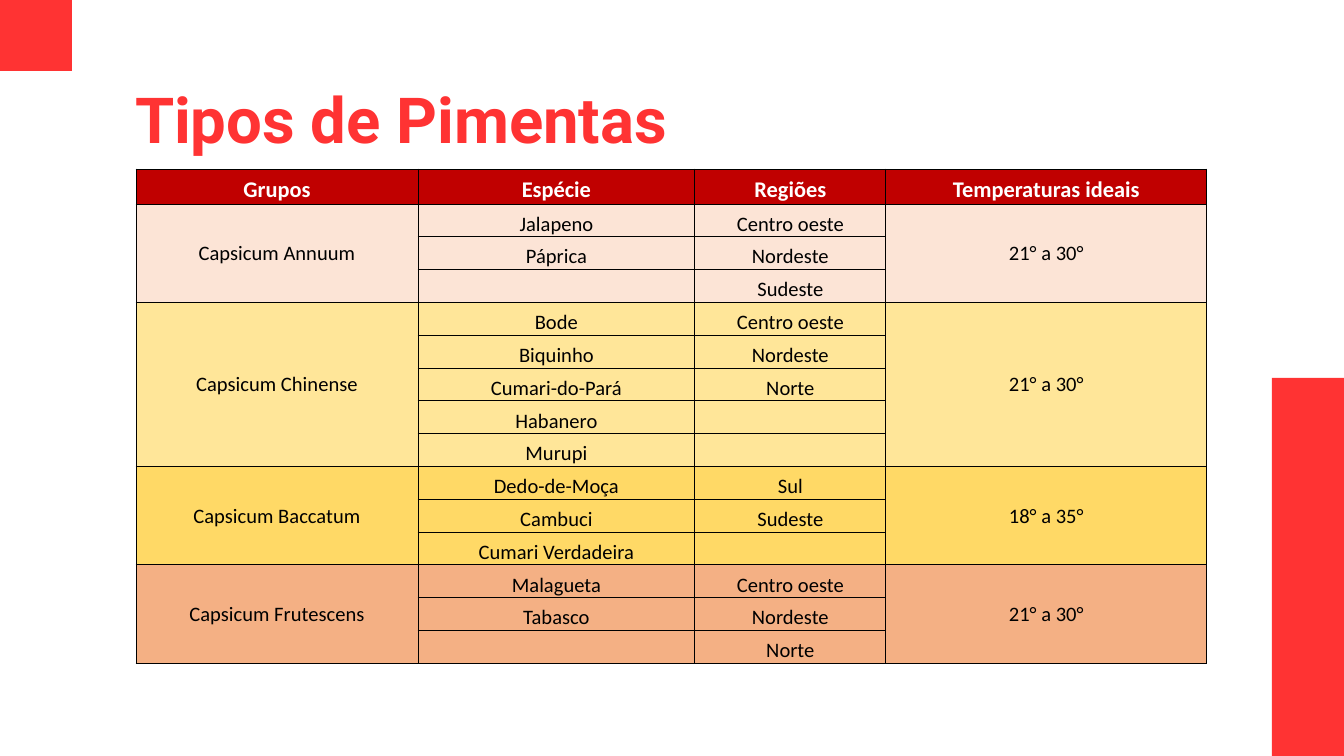
from lxml import etree
from pptx import Presentation
from pptx.dml.color import RGBColor
from pptx.enum.shapes import MSO_SHAPE
from pptx.enum.text import MSO_ANCHOR, PP_ALIGN
from pptx.oxml.ns import qn
from pptx.util import Pt

RECT = MSO_SHAPE.RECTANGLE
MIDDLE, BOTTOM = MSO_ANCHOR.MIDDLE, MSO_ANCHOR.BOTTOM
LEFT, CENTER = PP_ALIGN.LEFT, PP_ALIGN.CENTER
SCALE = 914400 / 134.4
COLORS = {
    "red": "FF3333", "head": "C00000", "white": "FFFFFF", "black": "000000",
    "pink": "FCE4D6", "cream": "FFE699", "gold": "FFD966", "orange": "F4B084",
}
HEADS = ["Grupos", "Espécie", "Regiões", "Temperaturas ideais"]
GROUPS = [
    ("Capsicum Annuum", "21° a 30°", "pink",
     [("Jalapeno", "Centro oeste"), ("Páprica", "Nordeste"), ("", "Sudeste")]),
    ("Capsicum Chinense", "21° a 30°", "cream",
     [("Bode", "Centro oeste"), ("Biquinho", "Nordeste"),
      ("Cumari-do-Pará", "Norte"), ("Habanero", ""), ("Murupi", "")]),
    ("Capsicum Baccatum", "18° a 35°", "gold",
     [("Dedo-de-Moça", "Sul"), ("Cambuci", "Sudeste"), ("Cumari Verdadeira", "")]),
    ("Capsicum Frutescens", "21° a 30°", "orange",
     [("Malagueta", "Centro oeste"), ("Tabasco", "Nordeste"), ("", "Norte")]),
]


def px(n):
    return round(n * SCALE)


def rgb(name):
    return RGBColor.from_string(COLORS[name])


class Deck:
    def __init__(self, wide, high):
        self.prs = Presentation()
        self.prs.slide_width, self.prs.slide_height = px(wide), px(high)
        self.slide = self.prs.slides.add_slide(self.prs.slide_layouts[5])

    def font(self, para, face, size, color, bold, align):
        para.alignment = align
        font = para.font
        font.name, font.size, font.bold = face, Pt(size), bold
        font.color.rgb = rgb(color)

    def title(self, text, x, y, w, h):
        shape = self.slide.shapes.title
        shape.left, shape.top, shape.width, shape.height = map(px, (x, y, w, h))
        frame = shape.text_frame
        frame.text = text
        frame.vertical_anchor = MIDDLE
        frame.margin_left = frame.margin_right = px(13)
        frame.margin_top = frame.margin_bottom = px(13)
        self.font(frame.paragraphs[0], "Roboto", 34, "red", True, LEFT)

    def block(self, x, y, w, h):
        shape = self.slide.shapes.add_shape(RECT, *map(px, (x, y, w, h)))
        shape.shadow.inherit = False
        shape.fill.solid()
        shape.fill.fore_color.rgb = rgb("red")
        shape.line.fill.background()

    def border(self, cell):
        props = cell._tc.get_or_add_tcPr()
        for i, side in enumerate(("lnL", "lnR", "lnT", "lnB")):
            line = etree.Element(qn("a:" + side), w=str(Pt(0.5)))
            fill = etree.SubElement(line, qn("a:solidFill"))
            etree.SubElement(fill, qn("a:srgbClr"), val=COLORS["black"])
            props.insert(i, line)

    def cell(self, cell, text, fill, anchor=BOTTOM, size=11, color="black", bold=False):
        cell.text = text
        cell.fill.solid()
        cell.fill.fore_color.rgb = rgb(fill)
        cell.vertical_anchor = anchor
        cell.margin_left = cell.margin_right = cell.margin_top = px(1)
        cell.margin_bottom = 0
        para = cell.text_frame.paragraphs[0]
        self.font(para, "Calibri", size, color, bold, CENTER)
        if not text:
            para._p.get_or_add_endParaRPr().set("sz", str(size * 100))
        self.border(cell)

    def table(self, x, y, cols, head, body):
        count = sum(len(rows) for *_, rows in GROUPS)
        frame = self.slide.shapes.add_table(
            count + 1, len(cols), px(x), px(y), px(sum(cols)), px(head + body))
        table = frame.table
        for col, wide in zip(table.columns, cols):
            col.width = px(wide)
        for row in table.rows:
            row.height = px(body / count)
        table.rows[0].height = px(head)
        for i, text in enumerate(HEADS):
            self.cell(table.cell(0, i), text, "head", size=12, color="white", bold=True)
        top = 1
        for name, temp, fill, rows in GROUPS:
            last = top + len(rows) - 1
            for r, (kind, place) in enumerate(rows, top):
                first = r == top
                self.cell(table.cell(r, 0), name if first else "", fill, MIDDLE)
                self.cell(table.cell(r, 1), kind, fill)
                self.cell(table.cell(r, 2), place, fill)
                self.cell(table.cell(r, 3), temp if first else "", fill, MIDDLE)
            for c in (0, 3):
                table.cell(top, c).merge(table.cell(last, c))
            top = last + 1


def main():
    deck = Deck(1344, 756)
    deck.title("Tipos de Pimentas", 122, 69, 1097, 99)
    deck.table(136, 169, (282, 277, 191, 321), 35, 460)
    deck.block(1272, 378, 72, 378)
    deck.block(0, 0, 72, 71)
    deck.prs.save("out.pptx")


if __name__ == "__main__":
    main()
